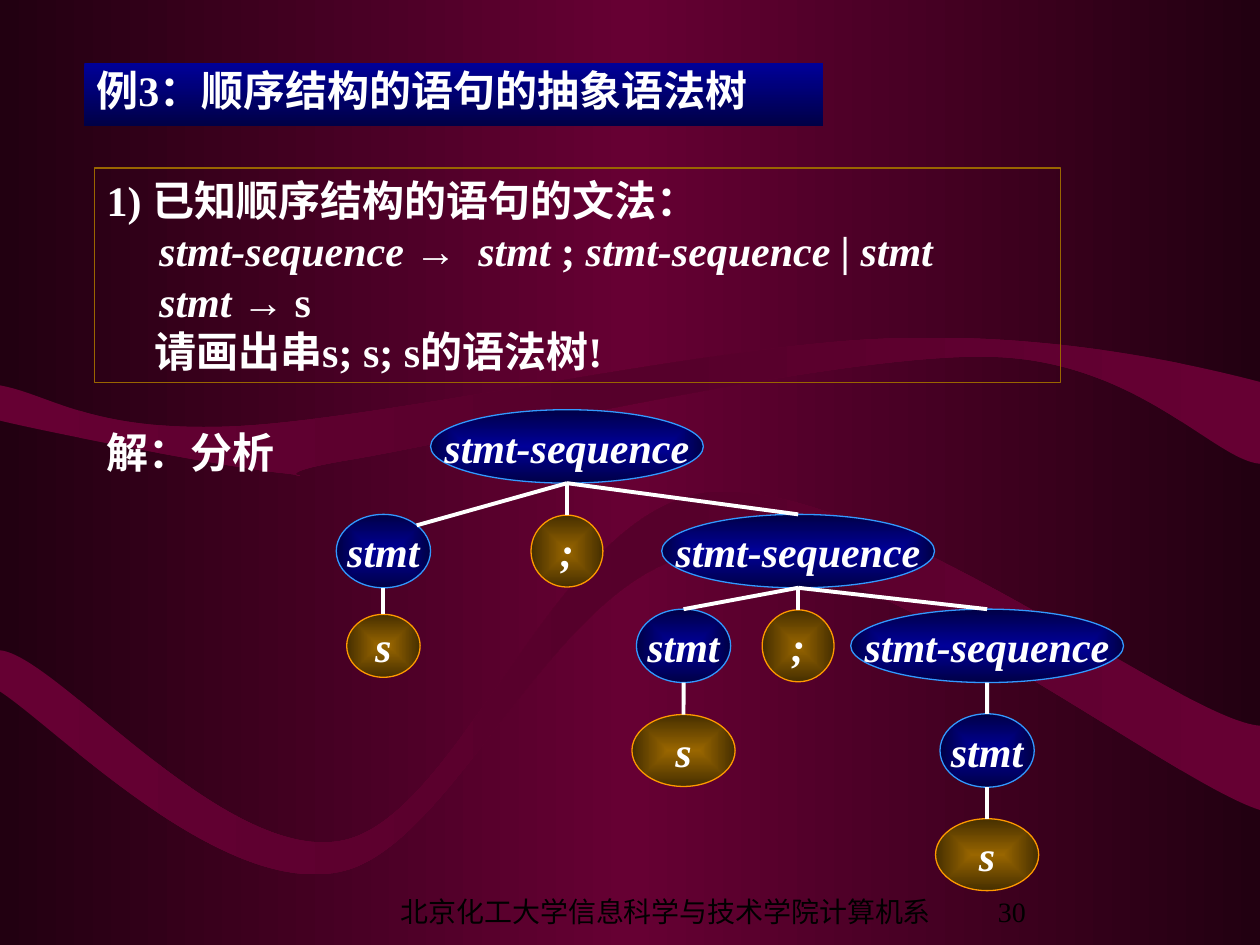
import pptx
import pptx.dml.color
import pptx.enum.shapes
import pptx.enum.text
import pptx.oxml
import pptx.oxml.ns
import pptx.util
import lxml.etree

Cm = pptx.util.Cm
Align = pptx.enum.text.PP_ALIGN
Anchor = pptx.enum.text.MSO_ANCHOR
Preset = pptx.enum.shapes.MSO_SHAPE
qn = pptx.oxml.ns.qn

COLORS = {
    "night": "220011", "wine": "660033", "plum": "56002B",
    "blue": "000099", "navy": "000046", "sky": "3399FF",
    "ochre": "996600", "umber": "462F00", "orange": "FF9900",
    "white": "FFFFFF", "black": "000000",
}
UPPER_RIBBON = [
    [(0, 8.48)],
    [(0.94, 8.71), (4.45, 9.4), (5.64, 9.53)],
    [(6.83, 9.65), (4.83, 9.63), (7.16, 9.25)],
    [(9.53, 8.84), (16.76, 7.16), (19.81, 7.19)],
    [(22.86, 7.19), (24.46, 9.27), (25.4, 9.35)],
    [(25.4, 7.7)],
    [(24.13, 7.37), (21.23, 6.68), (17.81, 6.83)],
    [(14.38, 6.96), (7.8, 8.43), (4.83, 8.59)],
    [(1.85, 8.74), (1.02, 7.95), (0, 7.77)],
]
LOWER_RIBBON = [
    [(0, 13.94)],
    [(1.14, 14.68), (4.42, 18.06), (6.83, 17.58)],
    [(9.22, 17.12), (11.25, 11.33), (14.35, 11.13)],
    [(17.45, 10.9), (23.55, 15.75), (25.4, 16.33)],
    [(25.4, 14.63)],
    [(23.83, 14.53), (17.55, 9.58), (14.27, 9.93)],
    [(11.2, 10.31), (9.32, 16.41), (6.93, 16.94)],
    [(4.55, 17.45), (1.14, 13.21), (0, 13.11)],
]
GRAMMAR = [
    (0, [("1) 已知顺序结构的语句的文法：", {})]),
    (1.06, [("stmt-sequence ", {"italic": True}),
            ("→ ", {"italic": True, "font": "Arial", "spacing": 2.85}),
            ("stmt ", {"italic": True}), ("; ", {}),
            ("stmt-sequence | stmt", {"italic": True})]),
    (1.06, [("stmt ", {"italic": True}),
            ("→", {"italic": True, "font": "Arial"}), (" s", {})]),
    (0.96, [("请画出串s; s; s的语法树!", {})]),
]
NODE_SIZES = {"stmt-sequence": (5.5, 1.48), "stmt": (1.9, 1.48),
              ";": (1.45, 1.45), "s": (2.08, 1.45)}
ROWS = [9, 11.11, 13.02, 15.13, 17.23]
NODES = {
    "root": ("stmt-sequence", 11.43, 0),
    "first stmt": ("stmt", 7.73, 1),
    "first semicolon": (";", 11.43, 1),
    "second sequence": ("stmt-sequence", 16.09, 1),
    "first s": ("s", 7.73, 2),
    "second stmt": ("stmt", 13.78, 2),
    "second semicolon": (";", 16.09, 2),
    "third sequence": ("stmt-sequence", 19.9, 2),
    "second s": ("s", 13.78, 3),
    "third stmt": ("stmt", 19.9, 3),
    "third s": ("s", 19.9, 4),
}
BRANCHES = {
    "root": ["first semicolon", "second sequence"],
    "first stmt": ["first s"],
    "second sequence": ["second stmt", "second semicolon", "third sequence"],
    "second stmt": ["second s"],
    "third sequence": ["third stmt"],
    "third stmt": ["third s"],
}


def add_text(paragraph, text, font="Times New Roman", size=24, color="white",
             bold=True, italic=False, align=Align.LEFT, indent=0, spacing=0):
    paragraph.alignment = align
    if indent:
        paragraph._p.get_or_add_pPr().set("marL", str(Cm(indent)))
    run = paragraph.add_run()
    run.text = text
    run.font.name, run.font.size = font, pptx.util.Pt(size)
    run.font.bold, run.font.italic = bold, italic
    run.font.color.rgb = pptx.dml.color.RGBColor.from_string(COLORS[color])
    if spacing:
        run._r.get_or_add_rPr().set("spc", str(round(spacing * 100)))


class SyntaxTreeSlide:
    """Holds the slide and draws its elements in one style."""

    def __init__(self, slide):
        self.slide = slide
        self.shapes = slide.shapes

    def gradient(self, fill, owner, names, angle=0, centred=False):
        fill.gradient()
        grad = owner.find(".//" + qn("a:gradFill"))
        for child in list(grad):
            grad.remove(child)
        stops = lxml.etree.SubElement(grad, qn("a:gsLst"))
        for index, name in enumerate(names):
            position = str(100000 * index // (len(names) - 1))
            stop = lxml.etree.SubElement(stops, qn("a:gs"), pos=position)
            lxml.etree.SubElement(stop, qn("a:srgbClr"), val=COLORS[name])
        if centred:
            focus = lxml.etree.SubElement(grad, qn("a:path"), path="rect")
            lxml.etree.SubElement(focus, qn("a:fillToRect"),
                                  dict.fromkeys("ltrb", "50000"))
        else:
            lxml.etree.SubElement(grad, qn("a:lin"), ang=str(angle * 60000), scaled="0")

    def background(self):
        self.gradient(self.slide.background.fill, self.slide._element,
                      ["night", "wine", "night"], angle=180)

    def outline(self, shape, color=None):
        shape.shadow.inherit = False
        if color:
            shape.line.color.rgb = pptx.dml.color.RGBColor.from_string(COLORS[color])
            shape.line.width = pptx.util.Pt(0.75)
        else:
            shape.line.fill.background()

    def ribbon(self, segments):
        start_x, start_y = segments[-1][-1]
        builder = self.shapes.build_freeform(Cm(start_x), Cm(start_y))
        builder.add_line_segments([(Cm(x), Cm(y)) for segment in segments for x, y in segment])
        band = builder.convert_to_shape()
        contour = band._element.find(".//" + qn("a:path"))
        steps = iter(contour.findall(qn("a:lnTo")))
        for segment in segments:
            pieces = [next(steps) for _ in segment]
            if len(pieces) == 3:
                curve = lxml.etree.SubElement(contour, qn("a:cubicBezTo"))
                pieces[0].addprevious(curve)
                for piece in pieces:
                    curve.append(piece[0])
                    contour.remove(piece)
        contour.append(contour.makeelement(qn("a:close")))
        self.gradient(band.fill, band._element, ["wine", "plum", "wine"], angle=180)
        self.outline(band)

    def box(self, preset, left, top, width, height):
        return self.shapes.add_shape(preset, Cm(left), Cm(top), Cm(width), Cm(height))

    def title(self, text):
        bar = self.box(Preset.RECTANGLE, 1.7, 1.27, 14.89, 1.27)
        self.gradient(bar.fill, bar._element, ["blue", "navy"], angle=90)
        self.outline(bar)
        title = self.shapes.title
        bar._element.addnext(title._element)
        title.left, title.top = Cm(1.69), Cm(1.07)
        title.width, title.height = Cm(15.88), Cm(1.48)
        title.text_frame.auto_size = pptx.enum.text.MSO_AUTO_SIZE.NONE
        title.text_frame.vertical_anchor = Anchor.MIDDLE
        add_text(title.text_frame.paragraphs[0], text)

    def statement(self, lines):
        frame = self.box(Preset.RECTANGLE, 1.9, 3.39, 19.48, 4.32)
        frame.fill.background()
        self.outline(frame, "ochre")
        body = frame.text_frame
        body.vertical_anchor = Anchor.TOP
        for index, (indent, runs) in enumerate(lines):
            paragraph = body.add_paragraph() if index else body.paragraphs[0]
            for text, style in runs:
                add_text(paragraph, text, align=Align.JUSTIFY, indent=indent, **style)

    def label(self, text, left, top, width, height, anchor=Anchor.TOP, **style):
        holder = self.shapes.add_textbox(Cm(left), Cm(top), Cm(width), Cm(height))
        holder.text_frame.word_wrap = True
        holder.text_frame.vertical_anchor = anchor
        add_text(holder.text_frame.paragraphs[0], text, **style)

    def node(self, text, x, y, width, height):
        oval = self.box(Preset.OVAL, x - width / 2, y - height / 2, width, height)
        inner, outer, edge = (("blue", "navy", "sky") if text.startswith("stmt")
                              else ("ochre", "umber", "orange"))
        self.gradient(oval.fill, oval._element, [inner, outer], centred=True)
        self.outline(oval, edge)
        oval.text_frame.word_wrap = False
        oval.text_frame.vertical_anchor = Anchor.MIDDLE
        add_text(oval.text_frame.paragraphs[0], text, italic=True, align=Align.CENTER)
        return oval

    def branch(self, parent, child, end=None):
        x, y = end or (child.left + child.width // 2, child.top)
        line = self.shapes.add_connector(
            pptx.enum.shapes.MSO_CONNECTOR.STRAIGHT,
            parent.left + parent.width // 2, parent.top + parent.height, x, y)
        line.line.color.rgb = pptx.dml.color.RGBColor.from_string(COLORS["white"])
        line.line.width = pptx.util.Pt(2.25)
        lxml.etree.SubElement(line._element.spPr, qn("a:effectLst"))


def main():
    deck = pptx.Presentation()
    deck.slide_width, deck.slide_height = Cm(25.4), Cm(19.05)
    page = SyntaxTreeSlide(deck.slides.add_slide(deck.slide_layouts[5]))
    page.background()
    page.ribbon(UPPER_RIBBON)
    page.ribbon(LOWER_RIBBON)
    page.label("解：分析", 1.9, 8.47, 6.55, 1.27)
    page.title("例3：顺序结构的语句的抽象语法树")
    page.statement(GRAMMAR)
    ovals = {}
    for name, (text, x, row) in NODES.items():
        size = (1.48, 1.27) if name == "first s" else NODE_SIZES[text]
        ovals[name] = page.node(text, x, ROWS[row], *size)
    page.branch(ovals["root"], ovals["first stmt"], end=(Cm(8.4), Cm(10.59)))
    for parent, children in BRANCHES.items():
        for child in children:
            page.branch(ovals[parent], ovals[child])
    footer = {"anchor": Anchor.BOTTOM, "size": 16, "color": "black", "bold": False}
    page.label("北京化工大学信息科学与技术学院计算机系", 7.2, 17.99, 11.85, 0.85,
               align=Align.CENTER, indent=0.61, **footer)
    page.label("30", 18.8, 17.99, 2.13, 0.85, align=Align.RIGHT, **footer)
    deck.save("out.pptx")


if __name__ == "__main__":
    main()
